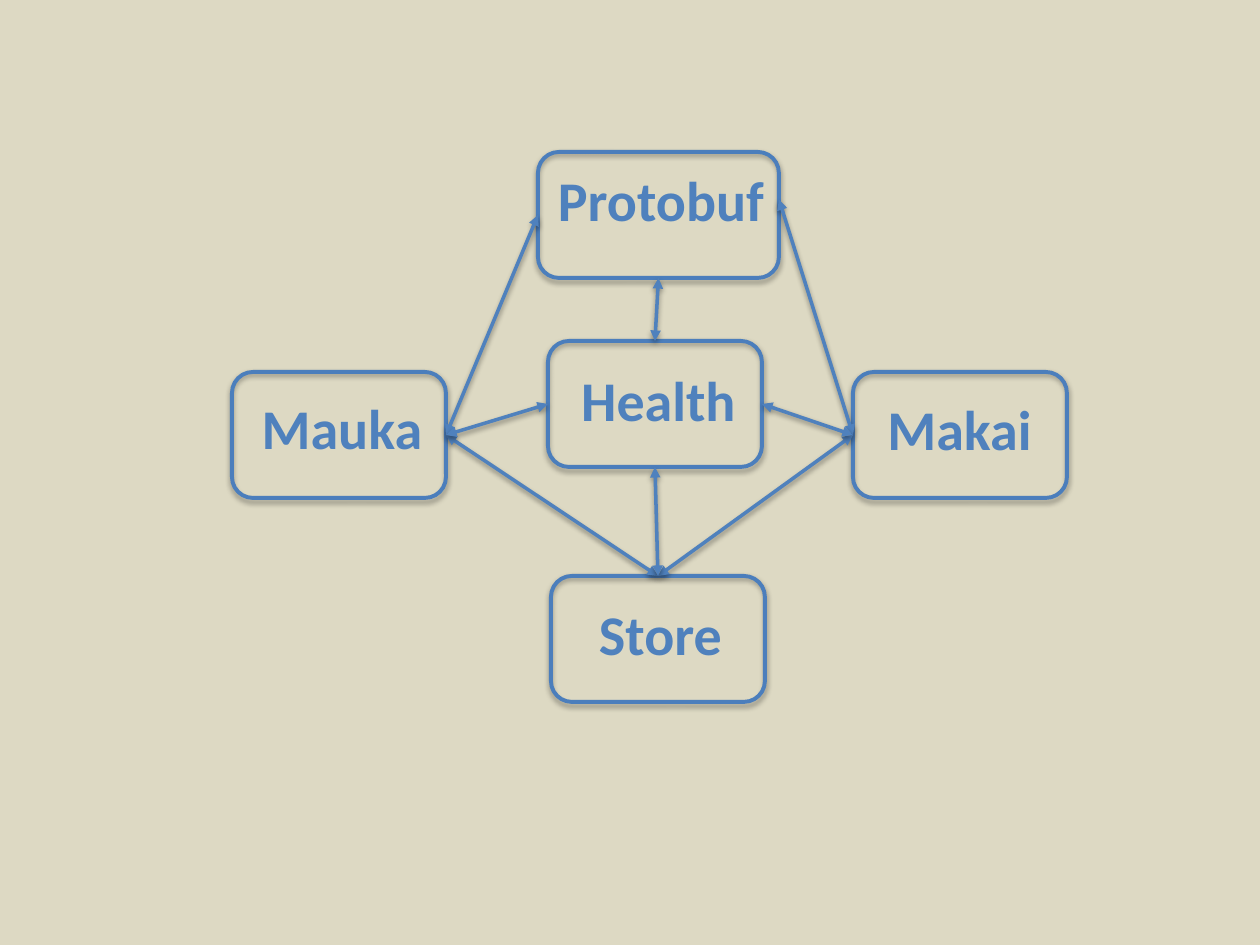
from lxml import etree
from pptx import Presentation
from pptx.dml.color import RGBColor
from pptx.enum.shapes import MSO_CONNECTOR as Connector, MSO_SHAPE as Shape
from pptx.enum.text import MSO_ANCHOR as Anchor, MSO_AUTO_SIZE as AutoSize, PP_ALIGN as Align
from pptx.oxml.ns import qn
from pptx.util import Emu, Pt

EMU_PER_PIXEL = 914400 / 126
TOP, LEFT, BOTTOM, RIGHT = range(4)  # connection sites of a rectangle


def px(length):
    return Emu(round(length * EMU_PER_PIXEL))


def color(hex_string):
    return RGBColor.from_string(hex_string)


class Diagram:
    background, text, border, arrow = "DDD9C3", "4F81BD", "4B7EBC", "4F81BD"
    font, size = "Calibri", 32
    box_width, box_height, label_height = 214, 126, 81

    def __init__(self, presentation):
        self.slide = presentation.slides.add_slide(presentation.slide_layouts[6])
        fill = self.slide.background.fill
        fill.solid()
        fill.fore_color.rgb = color(self.background)

    def shadow(self, properties, opacity, distance):
        effects = properties.find(qn("a:effectLst"))
        if effects is None:
            effects = etree.SubElement(properties, qn("a:effectLst"))
        outer = etree.SubElement(effects, qn("a:outerShdw"), blurRad=str(Pt(3.1)),
                                 dist=str(Pt(distance)), dir="5400000", rotWithShape="0")
        black = etree.SubElement(outer, qn("a:srgbClr"), val="000000")
        etree.SubElement(black, qn("a:alpha"), val=str(opacity * 1000))

    def label(self, group, name, left, top, width):
        label = group.shapes.add_textbox(px(left), px(top), px(width), px(self.label_height))
        frame = label.text_frame
        frame.word_wrap = False
        frame.auto_size = AutoSize.SHAPE_TO_FIT_TEXT
        frame.vertical_anchor = Anchor.MIDDLE
        paragraph = frame.paragraphs[0]
        paragraph.alignment = Align.CENTER
        run = paragraph.add_run()
        run.text = name
        run.font.name, run.font.size, run.font.bold = self.font, Pt(self.size), True
        run.font.color.rgb = color(self.text)
        return label

    def node(self, name, box_at, label_at, label_width, box_width=box_width):
        """Draw a named box; return its outline and its label."""
        group = self.slide.shapes.add_group_shape()
        label = self.label(group, name, *label_at, label_width)
        box = group.shapes.add_shape(Shape.ROUNDED_RECTANGLE, *map(px, box_at),
                                     px(box_width), px(self.box_height))
        box.fill.background()
        box.line.color.rgb = color(self.border)
        box.line.width = Pt(2.25)
        box.shadow.inherit = False
        self.shadow(box._element.spPr, 35, 1.8)
        return box, label

    def link(self, start, start_site, end, end_site):
        """Join two shapes by a line with an arrowhead at each end."""
        link = self.slide.shapes.add_connector(Connector.STRAIGHT, 0, 0, 0, 0)
        link.begin_connect(start, start_site)
        link.end_connect(end, end_site)
        link.line.color.rgb = color(self.arrow)
        link.line.width = Pt(2)
        line = link.line._get_or_add_ln()
        for tip in ("a:headEnd", "a:tailEnd"):
            etree.SubElement(line, qn(tip), type="triangle")
        self.shadow(link._element.spPr, 38, 1.6)


presentation = Presentation()
presentation.slide_width, presentation.slide_height = px(1260), px(945)
diagram = Diagram(presentation)

# Services
makai, _ = diagram.node("Makai", (853, 372), (874, 388), 171)
mauka, _ = diagram.node("Mauka", (232, 372), (248, 387), 188)
protobuf, protobuf_label = diagram.node("Protobuf", (538, 152), (543, 159), 236, box_width=241)
store, _ = diagram.node("Store", (551, 576), (564, 593), 193)
health, _ = diagram.node("Health", (548, 341), (568, 359), 181)

# Two-way links
for ends in (
    (mauka, RIGHT, store, TOP),
    (mauka, RIGHT, protobuf, LEFT),
    (protobuf_label, RIGHT, makai, LEFT),
    (store, TOP, makai, LEFT),
    (health, RIGHT, makai, LEFT),
    (health, TOP, protobuf, BOTTOM),
    (mauka, RIGHT, health, LEFT),
    (health, BOTTOM, store, TOP),
):
    diagram.link(*ends)

presentation.save("out.pptx")
